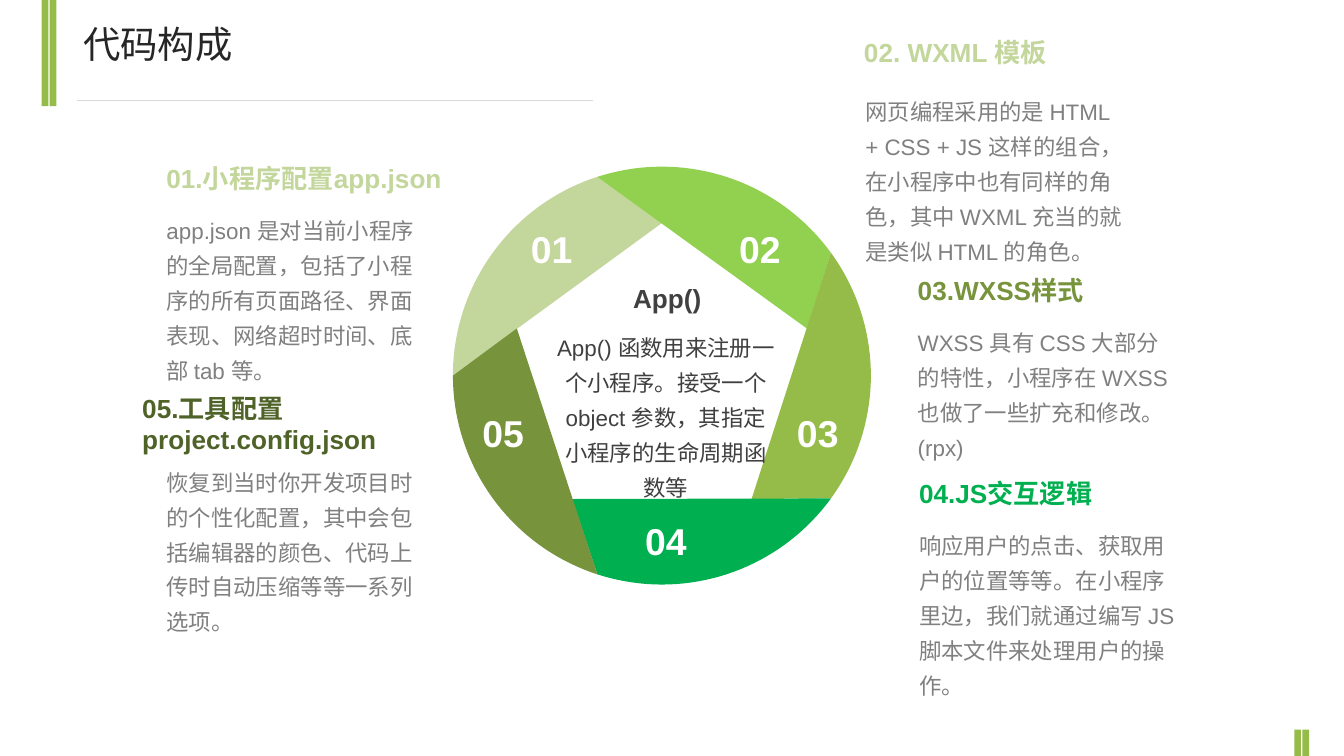
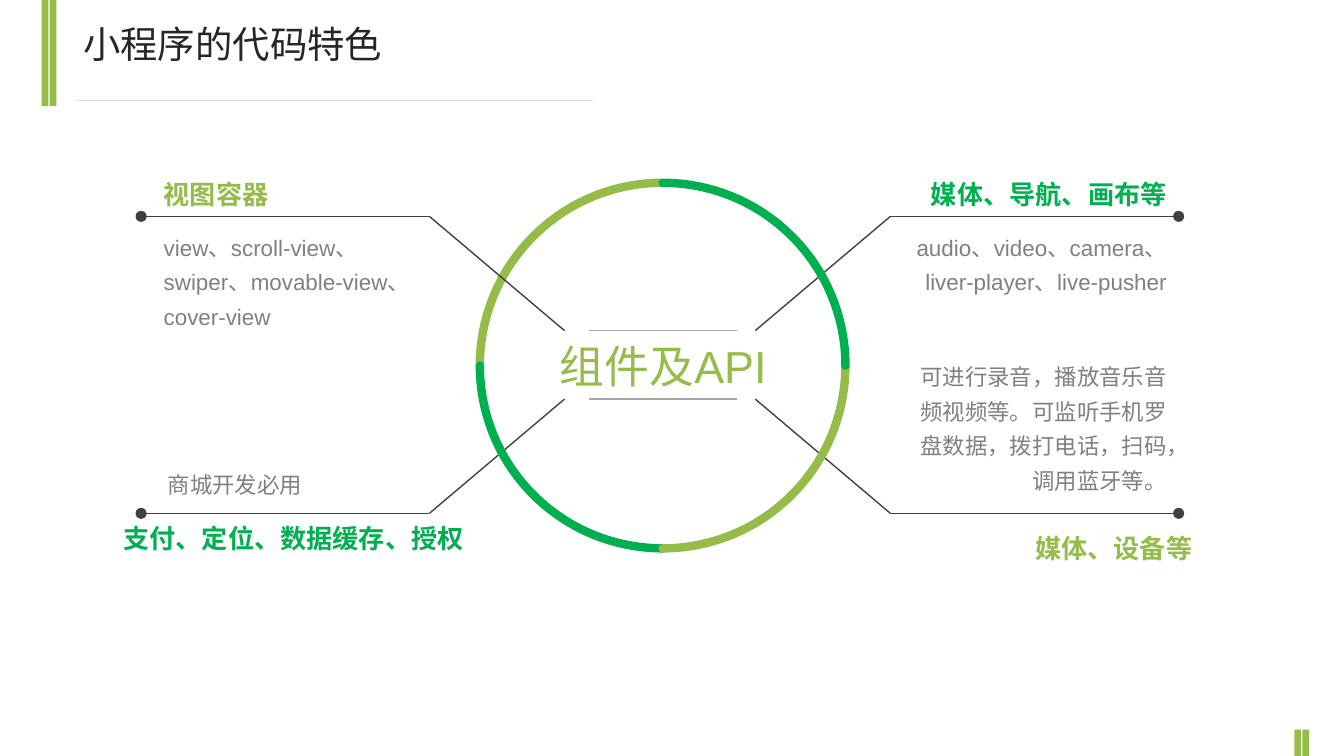
from math import cos, radians, sin

from lxml.etree import SubElement
from pptx import Presentation
from pptx.dml.color import RGBColor
from pptx.enum.shapes import MSO_CONNECTOR, MSO_SHAPE
from pptx.enum.text import MSO_AUTO_SIZE, PP_ALIGN
from pptx.oxml.ns import qn
from pptx.util import Cm, Pt

RECT, ARC = MSO_SHAPE.RECTANGLE, MSO_SHAPE.ARC
LINE = MSO_CONNECTOR.STRAIGHT
LEFT, MID, RIGHT = PP_ALIGN.LEFT, PP_ALIGN.CENTER, PP_ALIGN.RIGHT
GROW = MSO_AUTO_SIZE.SHAPE_TO_FIT_TEXT

LIME, GREEN, PALE, MOSS = "95BC49", "00B050", "C3D69B", "77933C"
BRIGHT, DEEP, WHITE = "92D050", "4F6228", "FFFFFF"
INK, DARK, GREY, SILVER, MIST = "262626", "404040", "808080", "A6A6A6", "D9D9D9"

# Text styles: font values, colour, paragraph values
BODY_GAP = {"line_spacing": 1.3, "space_before": Pt(6)}
TITLE = ({"size": Pt(20), "name": "Roboto Condensed"}, INK, {})
HEAD = ({"size": Pt(14), "name": "Arial", "bold": True}, DARK, {})
BODY = ({"size": Pt(12), "name": "Arial"}, GREY, BODY_GAP)
MARK = ({"size": Pt(20), "name": "Arial", "bold": True}, WHITE, {})
HUB = ({"size": Pt(24), "name": "Arial"}, LIME, {})


def inch(val):
    return Cm(val * 2.54)


def tint(code):
    return RGBColor.from_string(code)


def assign(obj, vals):
    for key, val in vals.items():
        setattr(obj, key, val)


def paint(shape, code):
    shape.shadow.inherit = False
    shape.fill.solid()
    shape.fill.fore_color.rgb = tint(code)
    shape.line.fill.background()


def write(slide, box, text, style, color=None, align=LEFT):
    font, base, para = style
    frame = slide.shapes.add_textbox(*map(inch, box)).text_frame
    assign(frame, {"word_wrap": True, "auto_size": GROW})
    first = frame.paragraphs[0]
    assign(first, {"alignment": align, **para})
    run = first.add_run()
    run.text = text
    assign(run.font, font)
    run.font.color.rgb = tint(color or base)


def rule(slide, start, end, color, dot=False):
    line = slide.shapes.add_connector(LINE, *map(inch, (*start, *end)))
    line.line.width = Pt(0.75)
    line.line.color.rgb = tint(color)
    props = line._element.spPr
    if dot:
        SubElement(props.find(qn("a:ln")), qn("a:headEnd"), type="oval")
    SubElement(props, qn("a:effectLst"))


def bars(slide, x, y, high):
    """Pair of upright green bars."""
    for step in range(2):
        box = (x + step * 0.06, y, 0.05, high)
        paint(slide.shapes.add_shape(RECT, *map(inch, box)), LIME)


def frame(deck, title):
    """Slide with the shared bands, title and title rule."""
    slide = deck.slides.add_slide(deck.slide_layouts[6])
    bars(slide, 0.31, 0, 0.79)
    bars(slide, 9.63, 5.43, 0.2)
    rule(slide, (0.57, 0.75), (4.41, 0.75), MIST)
    write(slide, (0.52, 0.11, 4.23, 0.44), title, TITLE)
    return slide


def wheel(slide, box, blades):
    """Five blades of 72 degrees around a pentagon, each with a number."""
    x, y, size = box
    rad = size / 2
    mx, my = x + rad, y + rad

    def spot(turn, reach):
        ang = radians(turn)
        return inch(mx + reach * cos(ang)), inch(my + reach * sin(ang))

    for num, (color, _, _) in enumerate(blades):
        start = 180 + 72 * num
        rim = [spot(start + step, rad) for step in range(0, 73, 2)]
        form = slide.shapes.build_freeform(*rim[0])
        form.add_line_segments(rim[1:] + [spot(start + 90, 0.73 * rad)])
        paint(form.convert_to_shape(), color)
    for num, (_, dx, dy) in enumerate(blades, 1):
        area = (mx + dx - 0.38, my + dy - 0.22, 0.76, 0.44)
        write(slide, area, f"{num:02}", MARK, align=MID)


def core(slide, box):
    """Words inside the wheel."""
    x, y, wide = box
    write(slide, (x + 0.22, y, 1.43, 0.34), "App()", HEAD, align=MID)
    write(slide, (x, y + 0.33, wide, 1.41),
          "App() 函数用来注册一个小程序。接受一个 object 参数，其指定小程序的生命周期函数等",
          BODY, DARK, MID)


def note(slide, box, head, color, body, shift=(0, 0.35), wide=None, align=LEFT):
    """Coloured heading and a body set off from it by shift."""
    x, y, span = box
    write(slide, (x, y, span, 0.34), head, HEAD, color, align)
    write(slide, (x + shift[0], y + shift[1], wide or span, 0.34),
          body, BODY, align=align)


def ring(slide, box, arcs):
    """Quarter arcs, each turned from the top left quarter."""
    x, y, size = box
    for turn, color in arcs:
        arc = slide.shapes.add_shape(ARC, *map(inch, (x, y, size, size)))
        arc.adjustments[0], arc.adjustments[1] = 108, 162
        arc.rotation = turn
        arc.shadow.inherit = False
        arc.fill.background()
        arc.line.width = Pt(4.5)
        arc.line.color.rgb = tint(color)
        arc.line._ln.set("cap", "rnd")


def arms(slide, box):
    """Four bent lines, mirrored about the middle of the box."""
    x, y, wide, high = box
    mx, my = x + wide / 2, y + high / 2
    for side in (-1, 1):
        for way in (-1, 1):
            end, bend, tip = [
                (mx + side * dx, my + way * dy)
                for dx, dy in ((wide / 2, high / 2), (1.715, high / 2), (0.71, 0.255))]
            rule(slide, end, bend, DARK, dot=True)
            rule(slide, bend, tip, DARK)


def hub(slide, box):
    """Centre label with a rule at the top and bottom of its box."""
    x, y, wide, high = box
    for edge in (y, y + high):
        rule(slide, (x, edge), (x + wide, edge), SILVER)
    write(slide, (x - 0.32, y + 0.01, 1.75, 0.5), "组件及API", HUB, align=MID)


deck = Presentation()
assign(deck, {"slide_width": inch(10), "slide_height": inch(5.625)})

# Slide 1: code parts around a wheel
parts = frame(deck, "代码构成")
wheel(parts, (3.37, 1.24, 3.11), [
    (PALE, -0.82, -0.94), (BRIGHT, 0.73, -0.94), (LIME, 1.16, 0.43),
    (GREEN, 0.03, 1.23), (MOSS, -1.18, 0.43)])
core(parts, (4.03, 2.05, 1.85))
note(parts, (1.14, 1.16, 2.53), "01.小程序配置app.json", PALE,
     "app.json 是对当前小程序的全局配置，包括了小程序的所有页面路径、界面表现、"
     "网络超时时间、底部 tab 等。", wide=2.12)
note(parts, (0.96, 2.87, 2.08), "05.工具配置project.config.json", DEEP,
     "恢复到当时你开发项目时的个性化配置，其中会包括编辑器的颜色、代码上传时"
     "自动压缩等等一系列选项。", (0.18, 0.51), 2.12)
note(parts, (6.33, 0.22, 1.88), "02. WXML 模板", PALE,
     "网页编程采用的是 HTML + CSS + JS 这样的组合，在小程序中也有同样的角色，"
     "其中 WXML 充当的就是类似 HTML 的角色。", (0.01, 0.4), 2.12)
note(parts, (6.73, 1.99, 2.12), "03.WXSS样式", MOSS,
     "WXSS 具有 CSS 大部分的特性，小程序在 WXSS 也做了一些扩充和修改。(rpx)")
note(parts, (6.74, 3.5, 2.12), "04.JS交互逻辑", GREEN,
     "响应用户的点击、获取用户的位置等等。在小程序里边，我们就通过编写 JS "
     "脚本文件来处理用户的操作。")

# Slide 2: features on four arms of a ring
traits = frame(deck, "小程序的代码特色")
circle = (3.57, 1.36, 2.72)
ring(traits, circle, [(0, LIME)])
arms(traits, (1.05, 1.61, 7.72, 2.21))
hub(traits, (4.38, 2.46, 1.1, 0.51))
ring(traits, circle, [(270, GREEN), (180, LIME), (90, GREEN)])
note(traits, (1.12, 1.28, 2.45), "视图容器", LIME,
     "view、scroll-view、swiper、movable-view、cover-view", wide=2.07)
note(traits, (0.82, 3.84, 2.77), "支付、定位、数据缓存、授权", GREEN,
     "商城开发必用", (0.33, -0.44), 2.07)
note(traits, (6.33, 1.28, 2.45), "媒体、导航、画布等", GREEN,
     "audio、video、camera、liver-player、live-pusher", (0.38, 0.35), 2.07, RIGHT)
note(traits, (6.52, 3.91, 2.45), "媒体、设备等", LIME,
     "可进行录音，播放音乐音频视频等。可监听手机罗盘数据，拨打电话，扫码，调用蓝牙等。",
     (0.19, -1.32), 2.07, RIGHT)

deck.save("out.pptx")
